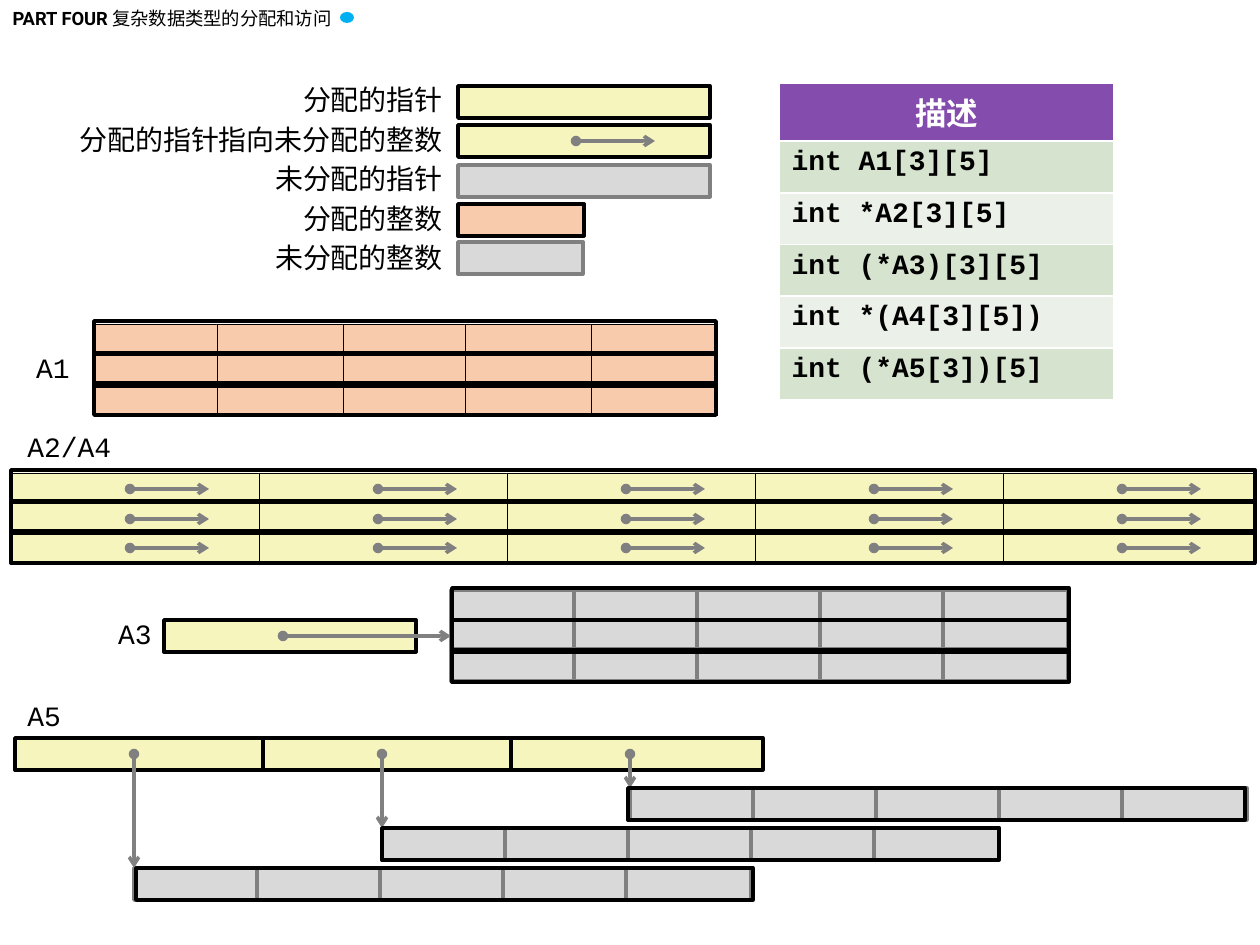
from lxml.etree import SubElement
from pptx import Presentation
from pptx.dml.color import RGBColor
from pptx.enum.shapes import MSO_CONNECTOR as Link, MSO_SHAPE as Shape
from pptx.enum.text import MSO_ANCHOR as Anchor, MSO_AUTO_SIZE as Fit, PP_ALIGN as Align
from pptx.oxml.ns import qn
from pptx.util import Pt

PX = 914400 / 126
HIGH = 32      # height of every memory cell
WIDE = 252     # width of a pointer cell
STEP = 248     # distance between pointer cells
NUM = 125      # width of an integer cell
GAP = 123      # distance between integer cells
TAIL = 119     # from a pointer cell's left side to its dot
CJK = "Noto Sans CJK SC"
COL = {name: RGBColor.from_string(code) for name, code in {
    "black": "000000", "white": "FFFFFF", "grey": "808080", "blue": "00B0F0",
    "purple": "844DAD", "dark": "D5E3CF", "light": "EBF1E9",
    "ptr": "F6F5BD", "int": "F8CBAD", "free": "D9D9D9"}.items()}

deck = Presentation()
deck.slide_width, deck.slide_height = round(1260 * PX), round(945 * PX)
slide = deck.slides.add_slide(deck.slide_layouts[5])
shapes = slide.shapes


def box(x, y, wide, fill=None, edge="black", line=2):
    """Draw one memory cell, or a bare frame when no fill is given."""
    cell = shapes.add_shape(Shape.RECTANGLE, *[round(v * PX) for v in (x, y, wide, HIGH)])
    cell.shadow.inherit = False
    if fill:
        cell.fill.solid()
        cell.fill.fore_color.rgb = COL[fill]
    else:
        cell.fill.background()
    cell.line.color.rgb = COL[edge]
    cell.line.width = Pt(line)
    return cell


def arrow(*ends):
    """Draw a pointer from a dot to an open arrowhead."""
    link = shapes.add_connector(Link.STRAIGHT, *[round(v * PX) for v in ends])
    link.line.color.rgb = COL["grey"]
    link.line.width = Pt(2)
    for tag, kind in (("a:headEnd", "oval"), ("a:tailEnd", "arrow")):
        SubElement(link.line._get_or_add_ln(), qn(tag)).set("type", kind)
    SubElement(link._element.spPr, qn("a:effectLst"))
    return link


# Heading
title = shapes.title
place = {"left": 0, "top": 1, "width": 352, "height": 35}
for key, val in place.items():
    setattr(title, key, round(val * PX))
frame = title.text_frame
look = {"word_wrap": False, "auto_size": Fit.NONE, "vertical_anchor": Anchor.TOP}
for key, val in look.items():
    setattr(frame, key, val)
para = frame.paragraphs[0]
para.alignment = Align.LEFT
for words, face, bold in (("PART FOUR ", "Roboto", True),
                          ("复杂数据类型的分配和访问", CJK, False)):
    run = para.add_run()
    run.text = words
    for key, val in {"name": face, "size": Pt(10.5), "bold": bold}.items():
        setattr(run.font, key, val)
    run.font.color.rgb = COL["black"]
    SubElement(run._r.get_or_add_rPr(), qn("a:ea")).set("typeface", CJK)

dot = shapes.add_shape(Shape.OVAL, *[round(v * PX) for v in (340, 12, 14, 11)])
dot.shadow.inherit = False
dot.fill.solid()
dot.fill.fore_color.rgb = COL["blue"]
dot.line.fill.background()

# Table of declarations
rows = ["描述", "int A1[3][5]", "int *A2[3][5]", "int (*A3)[3][5]",
        "int *(A4[3][5])", "int (*A5[3])[5]"]
table = shapes.add_table(len(rows), 1, *[round(v * PX) for v in (779, 83, 335, 310)]).table
for i, words in enumerate(rows):
    cell = table.cell(i, 0)
    cell.text = words
    cell.fill.solid()
    cell.fill.fore_color.rgb = COL["purple" if i == 0 else "dark" if i % 2 else "light"]
    para = cell.text_frame.paragraphs[0]
    para.alignment = Align.LEFT if i else Align.CENTER
    font = para.runs[0].font
    style = {"name": "Courier New" if i else "Calibri", "size": Pt(16 if i else 18), "bold": True}
    for key, val in style.items():
        setattr(font, key, val)
    font.color.rgb = COL["black" if i else "white"]

# A2/A4: three rows of five pointers
for y in (473, 503, 532):
    for i in range(5):
        x = 11 + i * STEP
        box(x, y, WIDE, "ptr", line=0.25)
        arrow(x + TAIL, y + 16, x + TAIL + 79, y + 16)
for y in (470, 501, 531):
    box(11, y, 1244)

# A5: three pointers, each to a row of five integers
for i in range(3):
    x, y = 15 + i * STEP, 868 - 40 * i
    box(x, 738, WIDE, "ptr")
    arrow(x + TAIL, 754, x + TAIL, y)
    for j in range(5):
        box(x + TAIL + j * GAP, y, NUM, "free", "grey")
    box(136 + 246 * i, y, 617)

# Legend cells
for y, wide, fill, edge in ((86, WIDE, "ptr", "black"), (125, WIDE, "ptr", "black"),
                            (165, WIDE, "free", "grey"), (204, 126, "int", "black"),
                            (242, NUM, "free", "grey")):
    box(458, y, wide, fill, edge)
arrow(576, 141, 655, 141)

# A1: three rows of five integers
for y in (324, 354, 383):
    for x in (94, 217, 343, 465, 591):
        box(x, y, 126, "int", line=0.25)
for y in (321, 354, 383):
    box(94, y, 622)

# A3: one pointer to a block of integers
heads = []
for y in (590, 620, 649):
    cells = [box(451 + i * GAP, y, NUM, "free", "grey") for i in range(5)]
    heads.append(cells[0])
box(164, 620, WIDE, "ptr")
arrow(283, 636, 451, 636).end_connect(heads[1], 1)
for y in (588, 620, 650):
    box(452, y, 617)

# Labels
mono, sans = "Courier New", "Calibri"
for words, x, y, wide, face, side in (
        ("分配的指针", 199, 76, 256, sans, Align.RIGHT),
        ("分配的指针指向未分配的整数", 11, 116, 444, sans, Align.RIGHT),
        ("未分配的指针", 199, 155, 256, sans, Align.RIGHT),
        ("分配的整数", 199, 195, 256, sans, Align.RIGHT),
        ("未分配的整数", 199, 234, 256, sans, Align.RIGHT),
        ("A1", 15, 344, 67, mono, Align.RIGHT),
        ("A2/A4", 15, 423, 149, mono, Align.LEFT),
        ("A3", 15, 610, 149, mono, Align.RIGHT),
        ("A5", 15, 692, 149, mono, Align.LEFT)):
    frame = shapes.add_textbox(*[round(v * PX) for v in (x, y, wide, 47)]).text_frame
    frame.word_wrap = True
    frame.auto_size = Fit.SHAPE_TO_FIT_TEXT
    para = frame.paragraphs[0]
    para.alignment = side
    run = para.add_run()
    run.text = words
    for key, val in {"name": face, "size": Pt(16)}.items():
        setattr(run.font, key, val)
    run.font.color.rgb = COL["black"]

deck.save("out.pptx")
